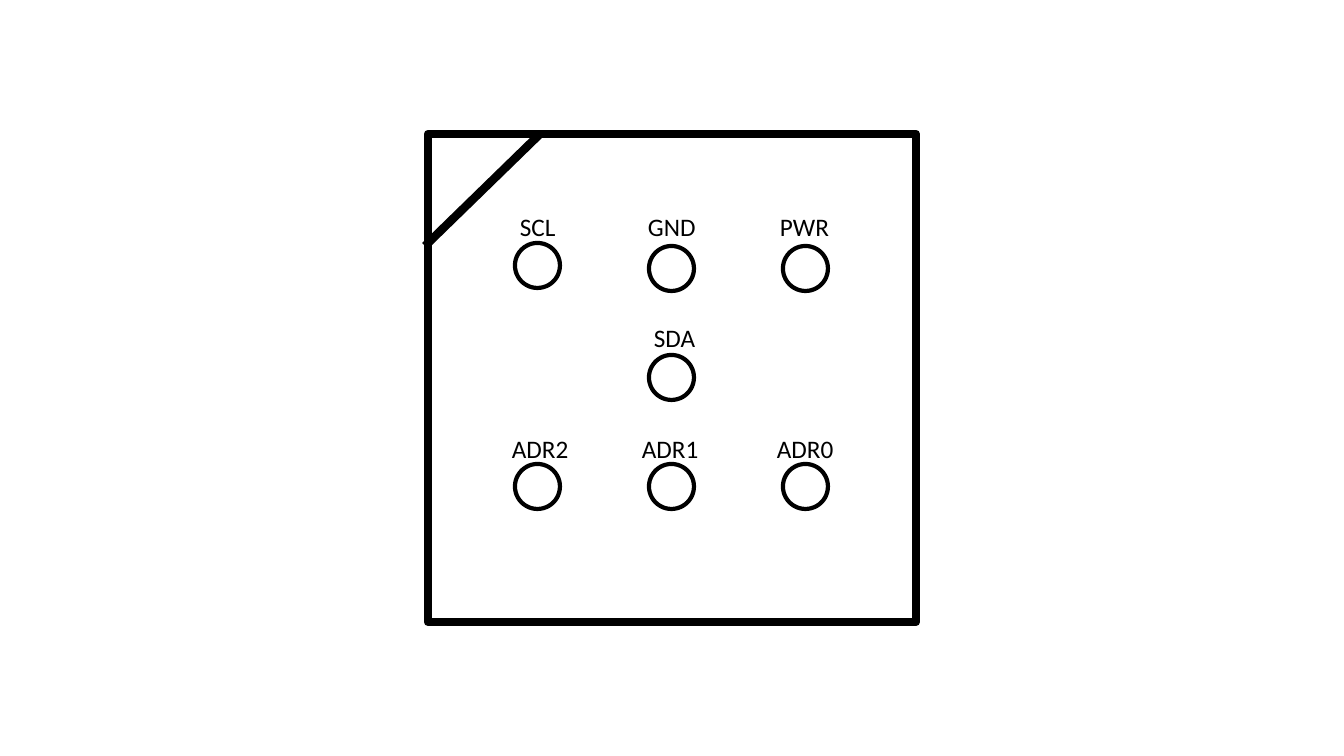
from dataclasses import dataclass

from lxml.etree import SubElement
from pptx import Presentation
from pptx.dml.color import RGBColor
from pptx.enum.shapes import MSO_CONNECTOR, MSO_SHAPE
from pptx.enum.text import MSO_AUTO_SIZE
from pptx.oxml.ns import qn
from pptx.shapes.autoshape import Shape
from pptx.shapes.shapetree import GroupShapes
from pptx.util import Emu, Pt

BLACK = RGBColor(0, 0, 0)
WHITE = RGBColor(255, 255, 255)
SCALE = 914400 / 100.8

HOLE_LEFT, HOLE_TOP, HOLE_SIZE = 515, 246, 45
COL_STEP, ROW_STEP = 134, 109
TEXT_TOP, TEXT_STEP, TEXT_HIGH = 206, 111, 40


@dataclass(frozen=True)
class Pin:
    """One pin: its name, grid cell, label span and upward shift."""
    name: str
    col: int
    row: int
    left: int
    wide: int
    lift: int = 0


PINS = [
    Pin("SCL", 0, 0, 510, 56, lift=3),
    Pin("GND", 1, 0, 638, 69),
    Pin("PWR", 2, 0, 770, 70),
    Pin("SDA", 1, 1, 644, 62),
    Pin("ADR2", 0, 2, 502, 78),
    Pin("ADR1", 1, 2, 632, 78),
    Pin("ADR0", 2, 2, 767, 78),
]


def px(*sizes: int) -> list[Emu]:
    """Turn pixels into EMU."""
    return [Emu(round(size * SCALE)) for size in sizes]


def add_form(shapes: GroupShapes, kind: MSO_SHAPE, box: tuple[int, ...],
             weight: int) -> Shape:
    """Add an outlined shape without a fill or shadow."""
    form = shapes.add_shape(kind, *px(*box))
    form.shadow.inherit = False
    form.fill.background()
    form.line.color.rgb = BLACK
    form.line.width = Pt(weight)
    return form


def add_notch(shapes: GroupShapes) -> None:
    """Draw the line across the top left corner."""
    notch = shapes.add_connector(MSO_CONNECTOR.STRAIGHT,
                                 *px(425, 246, 540, 134))
    notch.line.color.rgb = BLACK
    notch.line.width = Pt(6)
    SubElement(notch._element.spPr, qn("a:effectLst"))


def add_hole(shapes: GroupShapes, pin: Pin) -> None:
    """Draw the round hole of a pin."""
    left = HOLE_LEFT + pin.col * COL_STEP
    top = HOLE_TOP + pin.row * ROW_STEP - pin.lift
    hole = add_form(shapes, MSO_SHAPE.OVAL,
                    (left, top, HOLE_SIZE, HOLE_SIZE), 3)
    hole.fill.solid()
    hole.fill.fore_color.rgb = WHITE


def add_label(shapes: GroupShapes, pin: Pin) -> None:
    """Write the name of a pin above its hole."""
    top = TEXT_TOP + pin.row * TEXT_STEP
    frame = shapes.add_textbox(*px(pin.left, top, pin.wide,
                                   TEXT_HIGH)).text_frame
    frame.word_wrap = False
    frame.auto_size = MSO_AUTO_SIZE.SHAPE_TO_FIT_TEXT
    run = frame.paragraphs[0].add_run()
    run.text = pin.name
    run.font.name = "Calibri"
    run.font.size = Pt(18)
    run.font.color.rgb = BLACK


def main() -> None:
    """Build and save the slide."""
    deck = Presentation()
    deck.slide_width, deck.slide_height = px(1344, 756)
    slide = deck.slides.add_slide(deck.slide_layouts[6])
    shapes = slide.shapes.add_group_shape().shapes
    add_form(shapes, MSO_SHAPE.RECTANGLE, (428, 134, 488, 488), 6)
    add_notch(shapes)
    for pin in PINS:
        add_hole(shapes, pin)
    for pin in PINS:
        add_label(shapes, pin)
    deck.save("out.pptx")


main()
